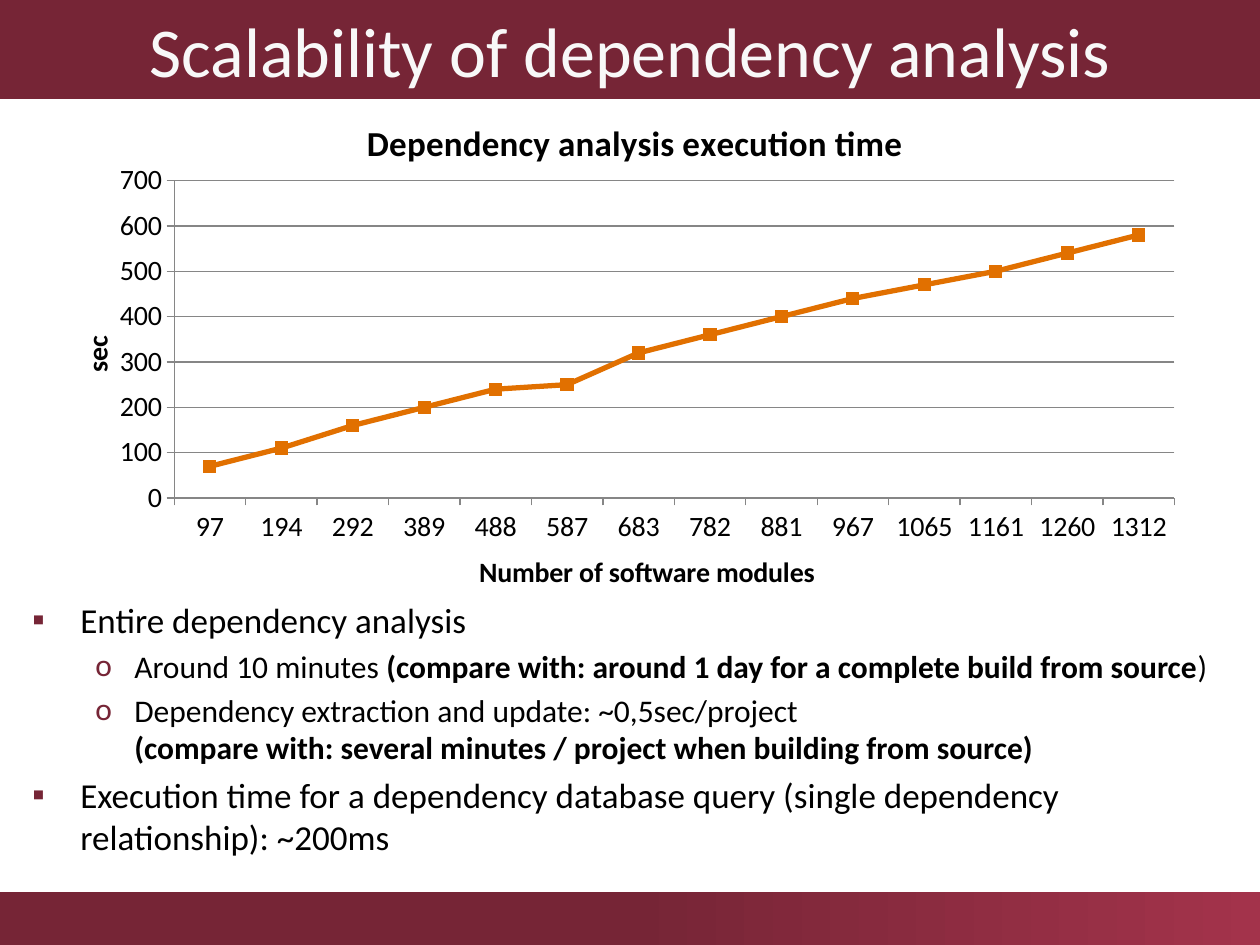
from lxml.etree import SubElement
from pptx import Presentation
from pptx.chart.data import CategoryChartData
from pptx.dml.color import RGBColor
from pptx.enum.chart import XL_CHART_TYPE, XL_MARKER_STYLE, XL_TICK_MARK
from pptx.enum.shapes import MSO_SHAPE
from pptx.enum.text import MSO_ANCHOR, MSO_AUTO_SIZE, PP_ALIGN
from pptx.oxml import parse_xml
from pptx.oxml.ns import nsdecls, qn
from pptx.util import Emu, Pt

SCALE = 914400 / 126
FONT = "Calibri"
COLORS = {
    "wine": "762536",
    "rose": "A3334B",
    "title": "F8F8F8",
    "text": "000000",
    "line": "E17000",
    "grid": "868686",
}
MODULES = [97, 194, 292, 389, 488, 587, 683, 782, 881, 967, 1065, 1161, 1260, 1312]
SECONDS = [70, 110, 160, 200, 240, 250, 320, 360, 400, 440, 470, 500, 540, 580]
LEVELS = [
    {"bullet": "▪", "left": 48, "hang": 48, "size": 20},
    {"bullet": "o", "left": 102, "hang": 39, "size": 18},
]
FINDINGS = [
    (0, [("Entire dependency analysis", False)]),
    (1, [("Around 10 minutes ", False),
         ("(compare with: around 1 day for a complete build from source", True),
         (")", False)]),
    (1, [("Dependency extraction and update: ~0,5sec/project \n", False),
         ("(compare with: several minutes / project when building from source)", True)]),
    (0, [("Execution time for a dependency database query "
          "(single dependency relationship): ~200ms", False)]),
]


def px(length):
    return Emu(round(length * SCALE))


def color(name):
    return RGBColor.from_string(COLORS[name])


def style_font(font, size, bold=False, tint="text"):
    font.name = FONT
    font.size = Pt(size)
    font.bold = bold
    font.color.rgb = color(tint)


def write(paragraph, text, **style):
    for index, piece in enumerate(text.split("\n")):
        if index:
            paragraph.add_line_break()
        if piece:
            run = paragraph.add_run()
            run.text = piece
            style_font(run.font, **style)


def add_title(slide, text):
    title = slide.shapes.title
    title.left, title.top, title.width, title.height = px(0), px(0), px(1260), px(99)
    title.fill.solid()
    title.fill.fore_color.rgb = color("wine")
    frame = title.text_frame
    frame.auto_size = MSO_AUTO_SIZE.NONE
    frame.vertical_anchor = MSO_ANCHOR.MIDDLE
    heading = frame.paragraphs[0]
    heading.alignment = PP_ALIGN.CENTER
    write(heading, text, size=40, tint="title")


def add_footer_band(slide):
    band = slide.shapes.add_shape(MSO_SHAPE.RECTANGLE, px(0), px(892), px(1260), px(53))
    band.shadow.inherit = False
    band.line.fill.background()
    band.fill.gradient()
    band.fill.gradient_angle = 0
    start, end = band.fill.gradient_stops
    start.color.rgb, start.position = color("wine"), 0.5
    end.color.rgb, end.position = color("rose"), 1


def set_bullet(paragraph, bullet, left, hang):
    properties = paragraph._p.get_or_add_pPr()
    properties.set("marL", str(px(left)))
    properties.set("indent", str(-px(hang)))
    bullet_color = SubElement(properties, qn("a:buClr"))
    SubElement(bullet_color, qn("a:srgbClr"), val=COLORS["wine"])
    SubElement(properties, qn("a:buFont"), typeface=FONT)
    SubElement(properties, qn("a:buChar"), char=bullet)


def add_findings(slide):
    frame = slide.shapes.add_textbox(px(20), px(592), px(1221), px(268)).text_frame
    frame.word_wrap = True
    for index, (depth, parts) in enumerate(FINDINGS):
        finding = frame.add_paragraph() if index else frame.paragraphs[0]
        level = LEVELS[depth]
        finding.level = depth
        finding.space_before = Pt(level["size"] * 0.2)
        set_bullet(finding, level["bullet"], level["left"], level["hang"])
        for text, bold in parts:
            write(finding, text, size=level["size"], bold=bold)


def style_axis(axis, title):
    axis.major_tick_mark = XL_TICK_MARK.OUTSIDE
    axis.minor_tick_mark = XL_TICK_MARK.NONE
    axis.format.line.color.rgb = color("grid")
    style_font(axis.tick_labels.font, 16)
    write(axis.axis_title.text_frame.paragraphs[0], title, size=16, bold=True)


def place_plot(chart, left, top, width, height):
    plot_area = chart._chartSpace.chart.plotArea
    for layout in plot_area.findall(qn("c:layout")):
        plot_area.remove(layout)
    places = "".join(f'<c:{tag} val="{value}"/>' for tag, value in
                     zip("xywh", (left, top, width, height)))
    plot_area.insert(0, parse_xml(
        f'<c:layout {nsdecls("c")}><c:manualLayout><c:layoutTarget val="inner"/>'
        f'<c:xMode val="edge"/><c:yMode val="edge"/>{places}'
        '</c:manualLayout></c:layout>'))


def add_time_chart(slide):
    data = CategoryChartData()
    data.categories = [str(count) for count in MODULES]
    data.add_series("Series 1", SECONDS)
    chart = slide.shapes.add_chart(
        XL_CHART_TYPE.LINE_MARKERS, px(73), px(95), px(1124), px(504), data).chart
    style_font(chart.font, 10)
    chart.has_legend = False
    chart.has_title = True
    write(chart.chart_title.text_frame.paragraphs[0],
          "Dependency analysis execution time", size=20, bold=True)
    chart.chart_title.include_in_layout = False
    style_axis(chart.category_axis, "Number of software modules")

    seconds_axis = chart.value_axis
    style_axis(seconds_axis, "sec")
    rotation = seconds_axis.axis_title.text_frame._txBody.bodyPr
    rotation.set("rot", "-5400000")
    rotation.set("vert", "horz")
    seconds_axis.minimum_scale, seconds_axis.maximum_scale = 0, 700
    seconds_axis.major_unit = 100
    seconds_axis.has_major_gridlines = True
    seconds_axis.major_gridlines.format.line.color.rgb = color("grid")

    plot = chart.plots[0]
    plot.vary_by_categories = False
    times = plot.series[0]
    times.smooth = False
    times.format.line.width = Pt(3)
    times.format.line.color.rgb = color("line")
    times.marker.style = XL_MARKER_STYLE.SQUARE
    times.marker.size = 7
    times.marker.format.fill.solid()
    times.marker.format.fill.fore_color.rgb = color("line")
    times.marker.format.line.color.rgb = color("line")
    place_plot(chart, 0.09, 0.17, 0.89, 0.63)


def main():
    deck = Presentation()
    deck.slide_width, deck.slide_height = px(1260), px(945)
    slide = deck.slides.add_slide(deck.slide_layouts[5])
    add_footer_band(slide)
    add_title(slide, "Scalability of dependency analysis")
    add_findings(slide)
    add_time_chart(slide)
    deck.save("out.pptx")


main()
